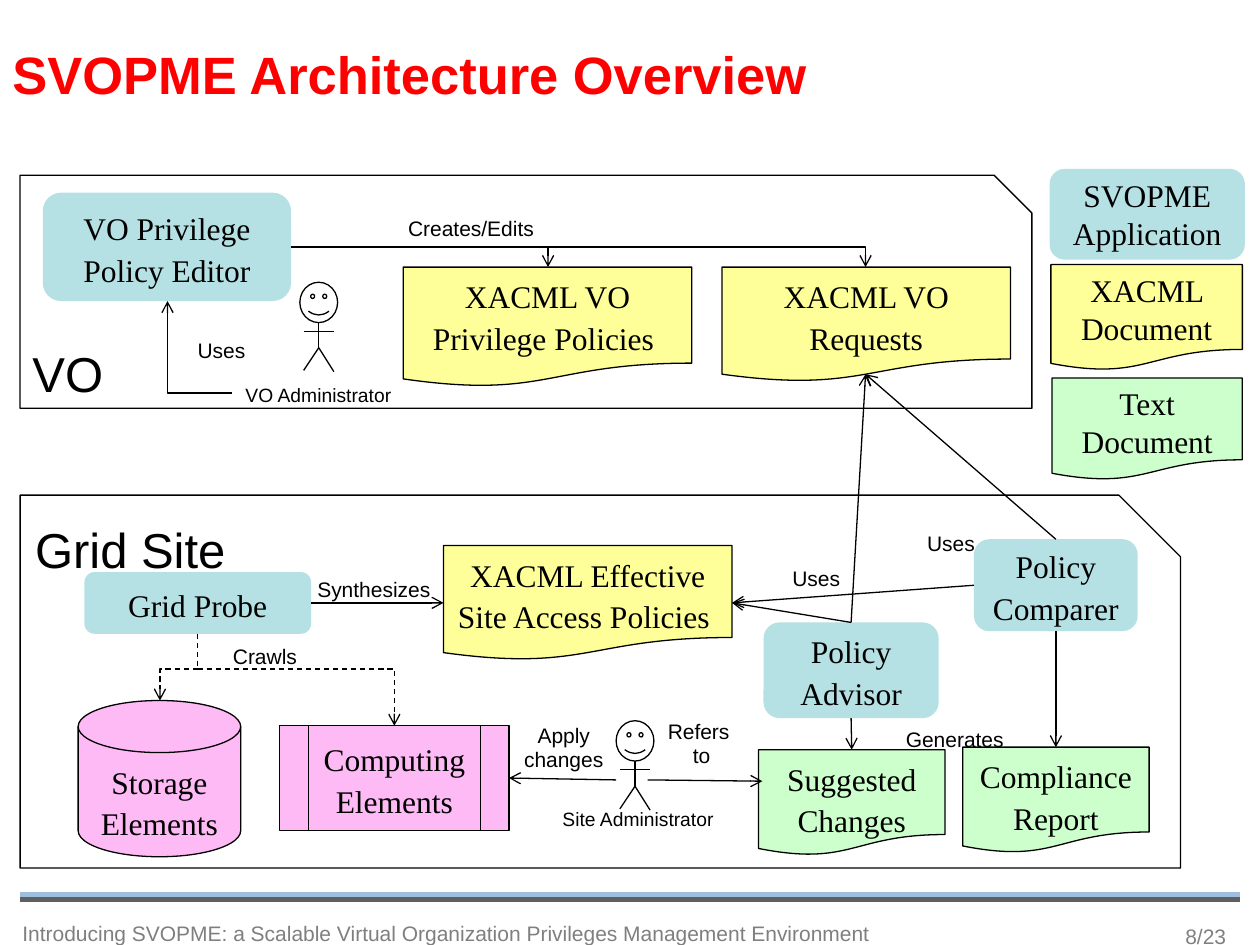
from lxml.etree import SubElement
from pptx import Presentation
from pptx.dml.color import RGBColor
from pptx.enum.dml import MSO_LINE
from pptx.enum.shapes import MSO_CONNECTOR as CONN, MSO_SHAPE as SHAPE
from pptx.enum.text import MSO_ANCHOR as ANCHOR, MSO_AUTO_SIZE as FIT, PP_ALIGN as ALIGN
from pptx.oxml.ns import qn
from pptx.util import Pt

PX = 9144
BLACK, RED, GRAY = "000000", "FF0000", "808080"
BLUE, YELLOW, GREEN, PINK = "B6E1E4", "FFFF99", "CDFFCD", "FEBAF4"
TOP, LEFT, BOTTOM, RIGHT = range(4)


def emu(*lengths):
    """Turn px lengths into EMU."""
    return [n * PX for n in lengths]


def rgb(color):
    """Turn a hex string into a colour."""
    return RGBColor.from_string(color)


def put_text(sp, text, size=12, font="Arial", color=BLACK, bold=False,
             align=ALIGN.LEFT, anchor=ANCHOR.TOP, spacing=1.54, wrap=True, pad=5):
    """Write formatted text, one paragraph a line, into a shape."""
    tf = sp.text_frame
    tf.word_wrap, tf.vertical_anchor = wrap, anchor
    tf.margin_left, tf.margin_right, tf.margin_top, tf.margin_bottom = emu(10, 10, pad, pad)
    for i, line in enumerate(text.split("\n")):
        p = tf.paragraphs[0] if i == 0 else tf.add_paragraph()
        p.alignment, p.line_spacing = align, spacing
        r = p.add_run()
        r.text = line
        r.font.size, r.font.name, r.font.bold = Pt(size), font, bold
        r.font.color.rgb = rgb(color)


def add_text(s, box, text, **fmt):
    """Add a text box."""
    sp = s.shapes.add_textbox(*emu(*box))
    put_text(sp, text, **fmt)
    return sp


def add_label(s, box, text, **fmt):
    """Add a one-line label that grows with its text."""
    sp = add_text(s, box, text, **{"wrap": False, **fmt})
    sp.text_frame.auto_size = FIT.SHAPE_TO_FIT_TEXT


def paint(sp, fill=None, line=BLACK):
    """Set fill and outline of a shape and drop its shadow."""
    sp.shadow.inherit = False
    if fill:
        sp.fill.solid()
        sp.fill.fore_color.rgb = rgb(fill)
    else:
        sp.fill.background()
    if line:
        sp.line.color.rgb, sp.line.width = rgb(line), Pt(0.75)
    else:
        sp.line.fill.background()


def add_node(s, kind, box, text, fill, anchor=ANCHOR.TOP, spacing=1.1, line=BLACK):
    """Add a filled shape with a centred serif caption."""
    sp = s.shapes.add_shape(kind, *emu(*box))
    paint(sp, fill, line)
    put_text(sp, text, size=18, font="Times New Roman", align=ALIGN.CENTER,
             anchor=anchor, spacing=spacing)
    return sp


def add_app(s, box, text, spacing=1.1):
    """Add a rounded application box."""
    return add_node(s, SHAPE.ROUNDED_RECTANGLE, box, text, BLUE, ANCHOR.MIDDLE, spacing, None)


def add_doc(s, box, text, fill=YELLOW, spacing=1.1):
    """Add a document shape."""
    return add_node(s, SHAPE.FLOWCHART_DOCUMENT, box, text, fill, spacing=spacing)


def add_line(s, start, end, arrow=True, dash=False, elbow=False, color=BLACK, width=0.75):
    """Add a connector between points or (shape, side) pairs."""
    free = [isinstance(e[0], int) for e in (start, end)]
    points = [e if f else (0, 0) for e, f in zip((start, end), free)]
    c = s.shapes.add_connector(CONN.ELBOW if elbow else CONN.STRAIGHT,
                               *emu(*points[0], *points[1]))
    if not free[0]:
        c.begin_connect(*start)
    if not free[1]:
        c.end_connect(*end)
    c.line.color.rgb, c.line.width = rgb(color), Pt(width)
    if dash:
        c.line.dash_style = MSO_LINE.DASH
    sppr = c._element.spPr
    if elbow:
        sppr.find(qn("a:prstGeom")).set("prst", "bentConnector2")
    if arrow:
        SubElement(sppr.find(qn("a:ln")), qn("a:tailEnd"), type="arrow")
    SubElement(sppr, qn("a:effectLst"))


def add_panel(s, x, y, w, h, cut):
    """Add a frame with its top right corner cut off."""
    fb = s.shapes.build_freeform(x, y, scale=PX)
    fb.add_line_segments([(x + w - cut, y), (x + w, y + cut), (x + w, y + h), (x, y + h)])
    sp = fb.convert_to_shape()
    paint(sp)
    return sp


def add_actor(s, x, y):
    """Draw a stick figure whose head starts at the given corner."""
    paint(s.shapes.add_shape(SHAPE.SMILEY_FACE, *emu(x, y, 30, 32)))
    for x1, y1, x2, y2 in [(15, 52, 3, 70), (15, 52, 27, 71), (3, 39, 27, 39), (15, 32, 15, 52)]:
        add_line(s, (x + x1, y + y1), (x + x2, y + y2), arrow=False)


def draw_footer(s, x, y, w):
    """Draw the double rule, the talk title and the page number."""
    for dy, color in [(0, "9DBEDF"), (4, "5F5F5F")]:
        add_line(s, (x, y + dy), (x + w, y + dy), arrow=False, color=color, width=3)
    add_text(s, (x + w - 234, y + 7, 233, 44), "8/23", color=GRAY, align=ALIGN.RIGHT)
    add_text(s, (x - 8, y + 5, 817, 44), "Introducing SVOPME: a Scalable Virtual "
             "Organization Privileges Management Environment", color="7F7F7F")


def draw_legend(s, x, y):
    """Draw the key of shape kinds."""
    add_app(s, (x, y, 155, 72), "SVOPME Application", 1.0)
    add_doc(s, (x + 1, y + 76, 152, 84), "XACML Document", spacing=1.0)
    add_doc(s, (x + 2, y + 166, 151, 81), "Text Document", GREEN, 1.0)


def draw_vo(s, x, y, w, h):
    """Draw the VO panel and return the foot of its requests document."""
    put_text(add_panel(s, x, y, w, h, 30), "VO", size=28, anchor=ANCHOR.BOTTOM)
    add_app(s, (x + 18, y + 14, 197, 86), "VO Privilege Policy Editor")
    add_doc(s, (x + 304, y + 73, 229, 95), "XACML VO Privilege Policies ")
    add_doc(s, (x + 557, y + 73, 229, 91), "XACML VO Requests")
    for dx in (671, 419):
        add_line(s, (x + 215, y + 57), (x + dx, y + 73), elbow=True)
    add_actor(s, x + 222, y + 85)
    add_line(s, (x + 168, y + 173), (x + 117, y + 100), elbow=True)
    add_label(s, (x + 169, y + 150, 136, 39), "VO Administrator", size=11)
    add_label(s, (x + 298, y + 16, 120, 41), "Creates/Edits")
    add_label(s, (x + 131, y + 113, 58, 41), "Uses")
    return x + 671, y + 158


def draw_grid_site(s, x, y, w, h, requests_foot):
    """Draw the Grid Site panel and its links to the requests document."""
    add_panel(s, x, y, w, h, 49)
    add_node(s, SHAPE.FLOWCHART_MAGNETIC_DISK, (x + 46, y + 163, 129, 124),
             "Storage Elements", PINK)
    computing = add_node(s, SHAPE.FLOWCHART_PREDEFINED_PROCESS, (x + 206, y + 183, 182, 83),
                         "Computing Elements", PINK, ANCHOR.MIDDLE)
    probe = add_app(s, (x + 51, y + 61, 180, 49), "Grid Probe")
    effective = add_doc(s, (x + 336, y + 40, 229, 91), "XACML Effective Site Access Policies ")
    advisor = add_app(s, (x + 590, y + 101, 139, 76), "Policy Advisor")
    comparer = add_app(s, (x + 757, y + 35, 130, 73), "Policy Comparer")
    compliance = add_doc(s, (x + 748, y + 200, 148, 84), "Compliance Report", GREEN)
    suggested = add_doc(s, (x + 586, y + 202, 148, 84), "Suggested Changes", GREEN)
    add_actor(s, x + 473, y + 179)

    fork = x + 141, y + 138
    add_line(s, (probe, BOTTOM), fork, arrow=False, dash=True)
    for dx, dy in [(111, 163), (297, 183)]:
        add_line(s, fork, (x + dx, y + dy), dash=True, elbow=True)
    for start, end in [
        ((probe, RIGHT), (effective, LEFT)),
        ((comparer, TOP), requests_foot),
        ((advisor, TOP), requests_foot),
        ((comparer, LEFT), (effective, RIGHT)),
        ((advisor, TOP), (effective, RIGHT)),
        ((comparer, BOTTOM), (compliance, TOP)),
        ((advisor, BOTTOM), (suggested, TOP)),
        ((x + 473, y + 226), (computing, RIGHT)),
        ((x + 498, y + 226), (x + 589, y + 227)),
    ]:
        add_line(s, start, end)

    add_label(s, (x + 2, y - 11, 171, 82), "Grid Site", size=28)
    for dx, dy, width, text in [(226, 49, 110, "Synthesizes"), (159, 102, 71, "Crawls"),
                                (603, 40, 58, "Uses"), (710, 12, 58, "Uses"),
                                (693, 168, 98, "Generates")]:
        add_label(s, (x + dx, y + dy, width, 41), text)
    for dx, dy, width, text in [(390, 177, 83, "Apply\nchanges"), (504, 174, 69, "Refers\n to")]:
        add_label(s, (x + dx, y + dy, width, 48), text, align=ALIGN.CENTER, spacing=0.95)
    add_label(s, (x + 419, y + 245, 143, 27), "Site Administrator", size=11,
              align=ALIGN.CENTER, spacing=0.9, wrap=True)


def main():
    """Build the slide and save it."""
    prs = Presentation()
    prs.slide_width, prs.slide_height = emu(1000, 750)
    s = prs.slides.add_slide(prs.slide_layouts[6])
    draw_footer(s, 16, 710, 968)
    add_text(s, (0, 0, 731, 114), "SVOPME Architecture Overview", size=30, color=RED,
             bold=True, anchor=ANCHOR.MIDDLE, spacing=1.05, pad=0)
    requests_foot = draw_vo(s, 16, 139, 803, 185)
    draw_grid_site(s, 16, 393, 921, 296, requests_foot)
    draw_legend(s, 833, 134)
    prs.save("out.pptx")


if __name__ == "__main__":
    main()
